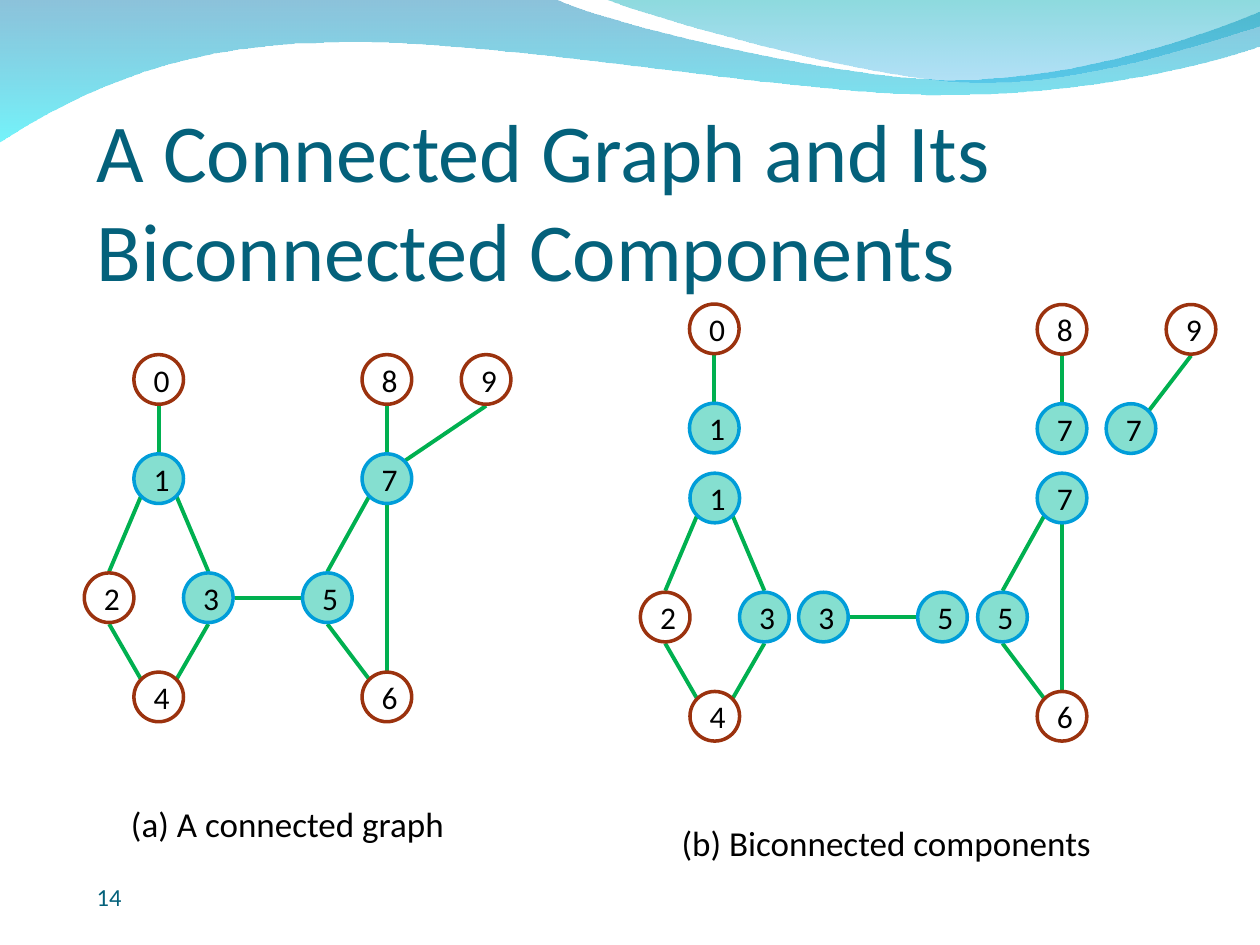
from lxml import etree
from pptx import Presentation
from pptx.dml.color import RGBColor
from pptx.enum.shapes import MSO_CONNECTOR, MSO_SHAPE
from pptx.enum.text import MSO_ANCHOR, MSO_AUTO_SIZE, PP_ALIGN
from pptx.oxml.ns import qn
from pptx.util import Cm, Pt

STRAIGHT, ELLIPSE = MSO_CONNECTOR.STRAIGHT, MSO_SHAPE.OVAL
LEFT, CENTER = PP_ALIGN.LEFT, PP_ALIGN.CENTER
MIDDLE, BOTTOM = MSO_ANCHOR.MIDDLE, MSO_ANCHOR.BOTTOM
NO_AUTOFIT = MSO_AUTO_SIZE.NONE

FONT = "Calibri"
COLORS = {
    "title": "04617B", "text": "000000", "edge": "00B050",
    "vertex": "9B320E", "cut vertex": "009DD9", "cut fill": "85DFD0",
}

# Content (lengths in cm)
TITLE = "A Connected Graph and Its Biconnected Components"
LABELS = [  # text, left, top, width, height, size, colour
    ("(a) A connected graph", 2.39, 16.05, 7.14, 1.12, 20, "text"),
    ("(b) Biconnected components", 13.49, 16.43, 9.93, 1.12, 20, "text"),
    ("14", 1.7, 17.65, 5.51, 1.02, 14, "title"),
]

# Vertex centres, measured from vertex 0
VERTICES = {
    0: (0, 0), 1: (0, 2), 2: (-1, 4.4), 3: (1, 4.4), 4: (0, 6.4),
    5: (3.4, 4.4), 6: (4.6, 6.4), 7: (4.6, 2), 8: (4.6, 0), 9: (6.6, 0),
}
CUT_VERTICES = {1, 3, 5, 7}
EDGES = [  # vertex, side, vertex, side
    (0, "S", 1, "N"), (1, "SW", 2, "N"), (1, "SE", 3, "N"),
    (2, "S", 4, "NW"), (3, "S", 4, "NE"), (3, "E", 5, "W"),
    (7, "SW", 5, "N"), (5, "S", 6, "NW"), (7, "S", 6, "N"),
    (8, "S", 7, "N"), (7, "NE", 9, "S"),
]
GRAPHS = [  # vertices shown, x and y of the origin, vertices that move
    (set(VERTICES), 3.2, 7.65, {}),
    ({1, 2, 3, 4}, 14.41, 8.04, {}),
    ({5, 6, 7}, 16.81, 8.04, {}),
    ({0, 1}, 14.4, 6.63, {}),
    ({3, 5}, 15.6, 8.04, {}),
    ({7, 8}, 16.81, 6.64, {}),
    ({7, 9}, 18.2, 6.64, {9: (5.81, 0)}),
]
DIAMETER = 1.0
REACH = 0.53  # from a vertex centre to the end of an edge
DIAGONAL = 0.68
SIDES = {
    "N": (0, -1), "S": (0, 1), "E": (1, 0), "W": (-1, 0),
    "NW": (-DIAGONAL, -DIAGONAL), "NE": (DIAGONAL, -DIAGONAL),
    "SW": (-DIAGONAL, DIAGONAL), "SE": (DIAGONAL, DIAGONAL),
}

# Waves: start, then one point for a line or three for a curve;
# gradient stops are colour and opacity in percent
WAVES = [
    ((0, -0.03), [
        [(11.18, -0.03)],
        [(12.09, 0.43), (16.87, 1.6), (19.25, 1.6)],
        [(21.79, 1.6), (24.33, 0.66), (25.4, 0.23)],
        [(25.43, 0.91)],
        [(24.97, 1.12), (22.1, 1.93), (18.95, 1.91)],
        [(15.8, 1.91), (9.7, 0.71), (6.53, 0.86)],
        [(3.28, 0.89), (1.17, 2.11), (-0.03, 2.87)],
    ], [("0079AF", 45), ("00EBF8", 55)]),
    ((12.17, -0.03), [
        [(12.93, 0.28), (17.32, 1.57), (19.53, 1.65)],
        [(21.74, 1.75), (24.41, 0.81), (25.4, 0.53)],
        [(25.4, 0)],
    ], [("00ADB6", 45), ("009BE5", 30)]),
]


def rgb(name):
    return RGBColor.from_string(COLORS[name])


def style(paragraph, size, color, align=LEFT):
    paragraph.alignment = align
    paragraph.font.name = FONT
    paragraph.font.size = Pt(size)
    paragraph.font.color.rgb = rgb(color)


def bend(wave, segments):
    """Turn each run of three line points into one Bezier curve."""
    lines = iter(list(wave._element.spPr.iter(qn("a:lnTo"))))
    for segment in segments:
        first, *others = [next(lines) for _ in segment]
        if others:
            curve = etree.Element(qn("a:cubicBezTo"))
            first.addprevious(curve)
            for line in (first, *others):
                curve.append(line[0])
                line.getparent().remove(line)


def add_wave(shapes, start, segments, stops):
    builder = shapes.build_freeform(Cm(start[0]), Cm(start[1]))
    points = [(Cm(x), Cm(y)) for segment in segments for x, y in segment]
    builder.add_line_segments(points, close=True)
    wave = builder.convert_to_shape()
    bend(wave, segments)
    wave.shadow.inherit = False
    wave.line.fill.background()
    wave.fill.gradient()
    wave.fill.gradient_angle = 270
    for position, (stop, (color, _)) in enumerate(zip(wave.fill.gradient_stops, stops)):
        stop.position = position
        stop.color.rgb = RGBColor.from_string(color)
    for element, (_, opacity) in zip(wave._element.spPr.iter(qn("a:srgbClr")), stops):
        etree.SubElement(element, qn("a:alpha")).set("val", str(opacity * 1000))


def add_edge(shapes, start, start_side, end, end_side):
    ends = [
        Cm(centre + REACH * direction)
        for point, side in ((start, start_side), (end, end_side))
        for centre, direction in zip(point, SIDES[side])
    ]
    edge = shapes.add_connector(STRAIGHT, *ends)
    edge.line.color.rgb = rgb("edge")
    edge.line.width = Pt(2.25)
    etree.SubElement(edge._element.spPr, qn("a:effectLst"))


def add_vertex(shapes, number, x, y):
    radius = DIAMETER / 2
    vertex = shapes.add_shape(
        ELLIPSE, Cm(x - radius), Cm(y - radius), Cm(DIAMETER), Cm(DIAMETER))
    vertex.shadow.inherit = False
    is_cut = number in CUT_VERTICES
    if is_cut:
        vertex.fill.solid()
        vertex.fill.fore_color.rgb = rgb("cut fill")
    else:
        vertex.fill.background()
    vertex.line.color.rgb = rgb("cut vertex" if is_cut else "vertex")
    vertex.line.width = Pt(2)
    vertex.text_frame.text = str(number)
    vertex.text_frame.vertical_anchor = MIDDLE
    style(vertex.text_frame.paragraphs[0], 18, "text", CENTER)


def main():
    prs = Presentation()
    prs.slide_width, prs.slide_height = Cm(25.4), Cm(19.05)
    slide = prs.slides.add_slide(prs.slide_layouts[5])
    shapes = slide.shapes

    # Title
    title = shapes.title
    title.left, title.top, title.width, title.height = Cm(1.7), Cm(2.96), Cm(22.86), Cm(3.17)
    title.text_frame.text = TITLE
    title.text_frame.auto_size = NO_AUTOFIT
    title.text_frame.vertical_anchor = BOTTOM
    style(title.text_frame.paragraphs[0], 47, "title")

    # Waves along the top
    for wave in WAVES:
        add_wave(shapes, *wave)

    # Graphs: every edge lies behind the vertices
    placed = []
    for members, left, top, moved in GRAPHS:
        layout = {**VERTICES, **moved}
        placed.append({n: (left + layout[n][0], top + layout[n][1]) for n in sorted(members)})
    for graph in placed:
        for start, start_side, end, end_side in EDGES:
            if start in graph and end in graph:
                add_edge(shapes, graph[start], start_side, graph[end], end_side)
    for graph in placed:
        for number, (x, y) in graph.items():
            add_vertex(shapes, number, x, y)

    # Captions and page number
    for text, left, top, width, height, size, color in LABELS:
        label = shapes.add_textbox(Cm(left), Cm(top), Cm(width), Cm(height))
        label.text_frame.word_wrap = True
        label.text_frame.text = text
        style(label.text_frame.paragraphs[0], size, color)

    prs.save("out.pptx")


if __name__ == "__main__":
    main()
